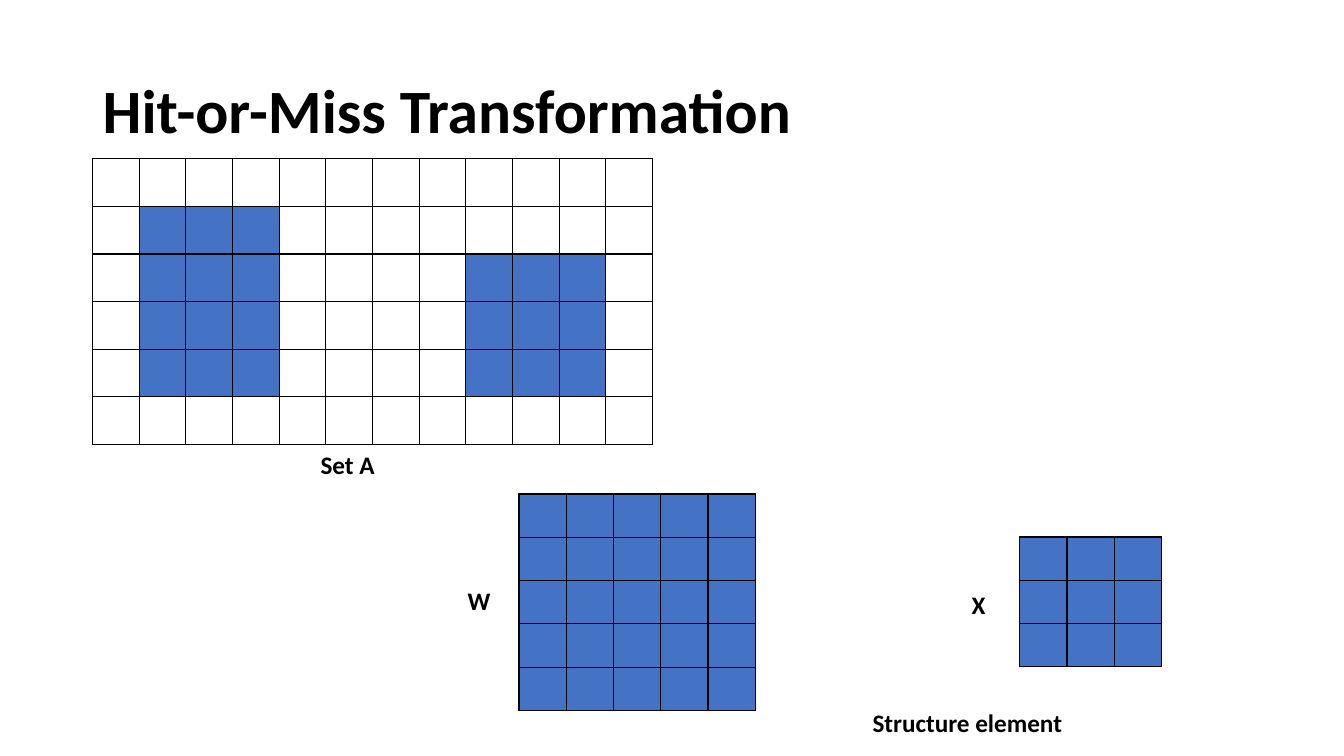
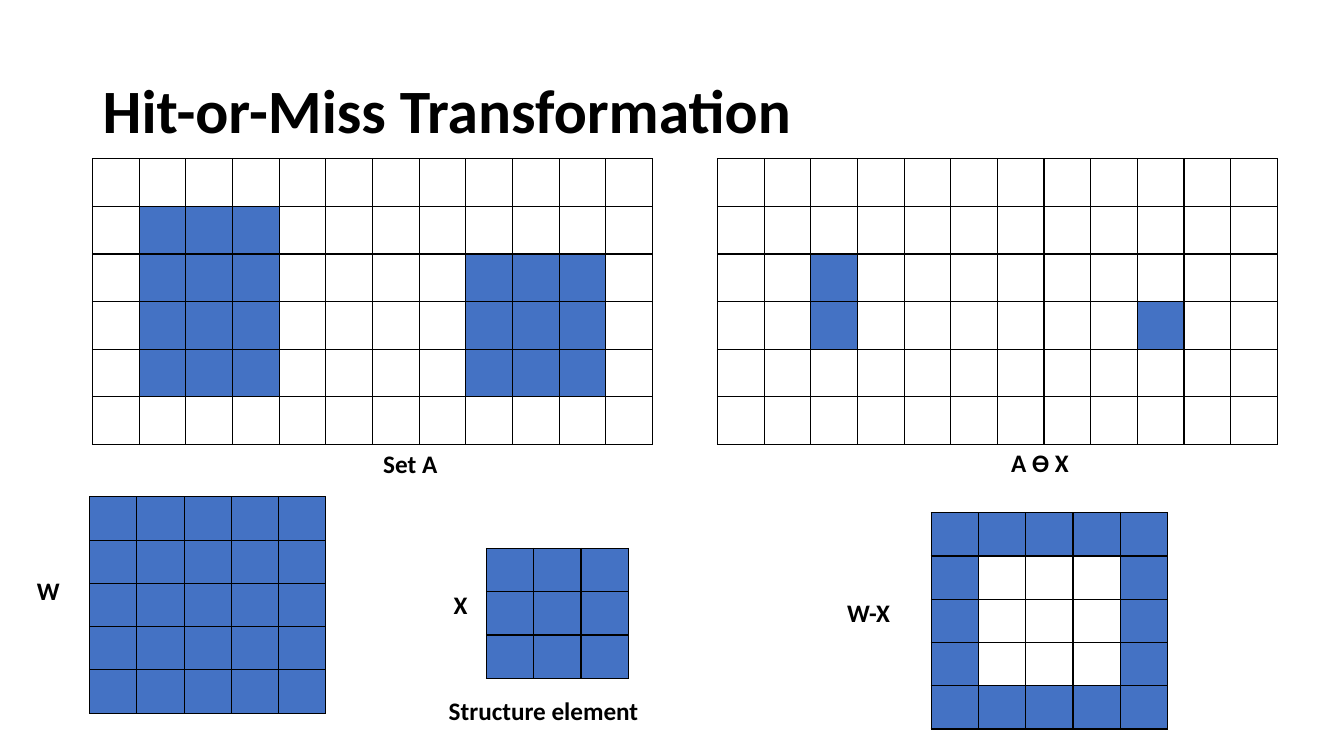
from lxml.etree import SubElement
from pptx import Presentation
from pptx.dml.color import RGBColor
from pptx.enum.text import MSO_ANCHOR, PP_ALIGN
from pptx.oxml.ns import qn
from pptx.util import Cm, Pt

COLORS = {"ink": "000000", "member": "4472C4"}
FONT = "Calibri"
TITLE = "Hit-or-Miss Transformation"

SET_CELL = (14.12 / 12, 1.2)
ELEMENT_CELL = (1.19, 1.09)
SET_TOP = 4.0

# "#" marks a filled cell, "." an empty one
SET_A = [
    "............",
    ".###........",
    ".###....###.",
    ".###....###.",
    ".###....###.",
    "............",
]
A_ERODED_BY_X = [
    "............",
    "............",
    "..#.........",
    "..#......#..",
    "............",
    "............",
]
WINDOW_W = ["#####"] * 5
ELEMENT_X = ["###"] * 3
W_MINUS_X = ["#####"] + ["#...#"] * 3 + ["#####"]


def add_text(page, text, left, top, width, height, size, align):
    box = page.shapes.add_textbox(Cm(left), Cm(top), Cm(width), Cm(height))
    frame = box.text_frame
    frame.word_wrap = True
    frame.vertical_anchor = MSO_ANCHOR.MIDDLE
    para = frame.paragraphs[0]
    para.text = text
    para.alignment = align
    para.font.name = FONT
    para.font.size = Pt(size)
    para.font.bold = True
    para.font.color.rgb = RGBColor.from_string(COLORS["ink"])
    return para


def add_title(page):
    para = add_text(page, TITLE, 2.34, 1.02, 29.2, 3.68, 44, PP_ALIGN.LEFT)
    para.line_spacing = 0.9


def add_label(page, text, center_x, center_y, width=2.4):
    height = 1.7
    add_text(page, text, center_x - width / 2, center_y - height / 2,
             width, height, 18, PP_ALIGN.CENTER)


def outline_cell(cell):
    properties = cell._tc.get_or_add_tcPr()
    for side in ("a:lnL", "a:lnR", "a:lnT", "a:lnB"):
        line = SubElement(properties, qn(side), w=str(Pt(1)))
        fill = SubElement(line, qn("a:solidFill"))
        SubElement(fill, qn("a:srgbClr"), val=COLORS["ink"])


def add_grid(page, pattern, left, top, cell_size):
    """Draw a binary image as a table, one cell per character."""
    rows, columns = len(pattern), len(pattern[0])
    cell_width, cell_height = cell_size
    table = page.shapes.add_table(
        rows, columns, Cm(left), Cm(top),
        Cm(cell_width * columns), Cm(cell_height * rows)).table
    table.first_row = False
    table.horz_banding = False
    for column in table.columns:
        column.width = Cm(cell_width)
    for row, marks in zip(table.rows, pattern):
        row.height = Cm(cell_height)
        for cell, mark in zip(row.cells, marks):
            outline_cell(cell)
            if mark == "#":
                cell.fill.solid()
                cell.fill.fore_color.rgb = RGBColor.from_string(COLORS["member"])
            else:
                cell.fill.background()


def add_page(deck):
    """Add a slide with the title and set A, which every slide shows."""
    page = deck.slides.add_slide(deck.slide_layouts[6])
    add_title(page)
    add_grid(page, SET_A, 2.33, SET_TOP, SET_CELL)
    return page


def build_inputs(deck):
    page = add_page(deck)
    add_label(page, "Set A", 8.76, 11.71)
    add_label(page, "W", 12.07, 15.14)
    add_grid(page, WINDOW_W, 13.08, 12.45, ELEMENT_CELL)
    add_label(page, "X", 24.66, 15.24)
    add_grid(page, ELEMENT_X, 25.7, 13.53, ELEMENT_CELL)
    add_label(page, "Structure element", 24.38, 18.21, width=6.7)


def build_erosion(deck):
    page = add_page(deck)
    add_label(page, "Set A", 10.34, 11.68)
    add_grid(page, A_ERODED_BY_X, 18.08, SET_TOP, SET_CELL)
    add_label(page, "A Ɵ X", 26.21, 11.66, width=4.8)
    add_label(page, "W", 1.22, 14.88)
    add_grid(page, WINDOW_W, 2.26, 12.52, ELEMENT_CELL)
    add_label(page, "X", 11.61, 15.24)
    add_grid(page, ELEMENT_X, 12.26, 13.82, ELEMENT_CELL)
    add_label(page, "Structure element", 13.7, 17.91, width=6.7)
    add_label(page, "W-X", 21.89, 15.44)
    add_grid(page, W_MINUS_X, 23.47, 12.92, ELEMENT_CELL)


def main():
    deck = Presentation()
    deck.slide_width = Cm(33.87)
    deck.slide_height = Cm(19.05)
    build_inputs(deck)
    build_erosion(deck)
    deck.save("out.pptx")


if __name__ == "__main__":
    main()
